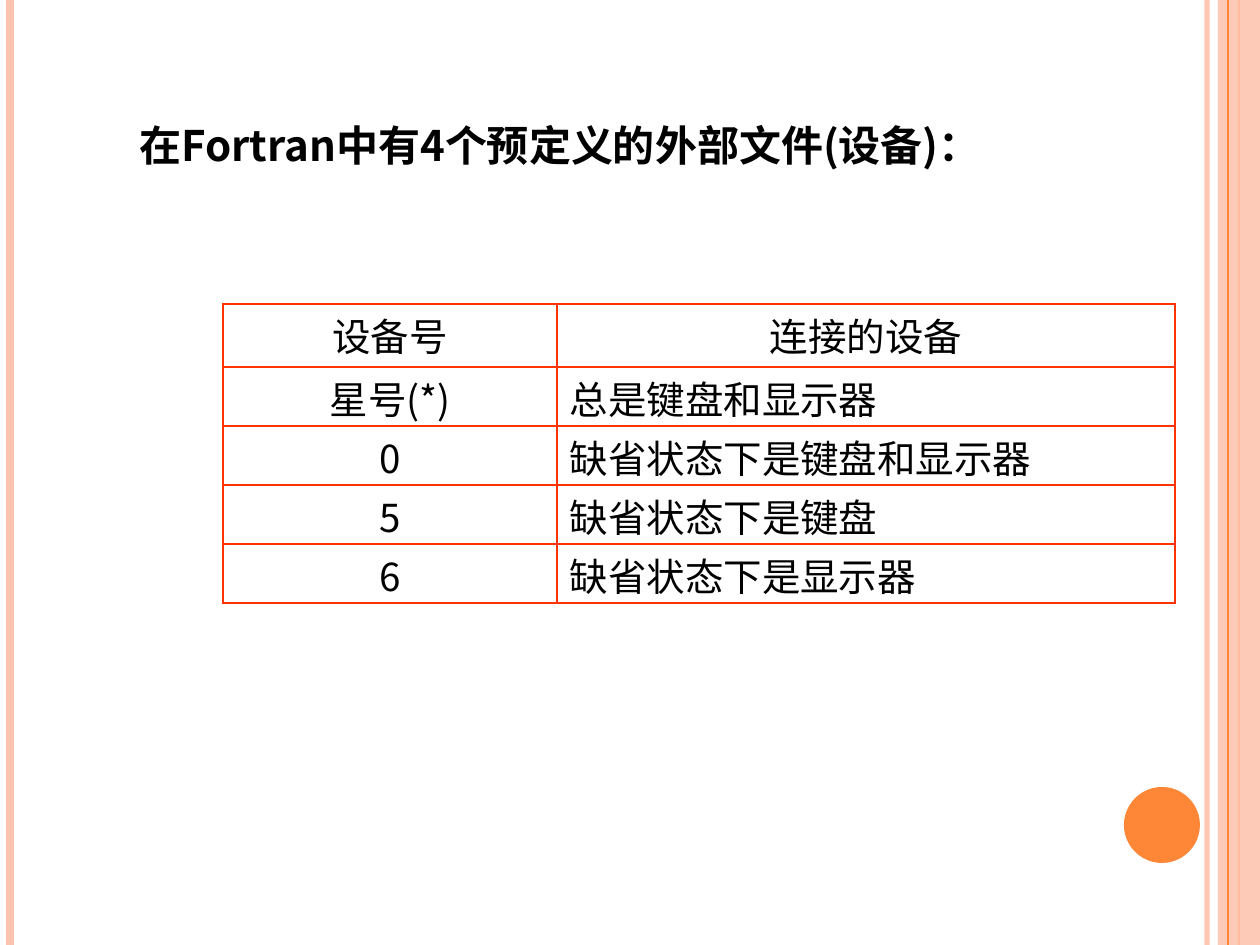
from lxml import etree
from pptx import Presentation
from pptx import util as u
from pptx.dml.color import RGBColor
from pptx.enum import shapes, text
from pptx.oxml.ns import qn

EMU_PER_PX = 914400 / 126
PEACH, ORANGE, RED, BLACK = "FEC3AE", "FE8637", "FF3300", "000000"
ROWS = [
    ("设备号", "连接的设备"),
    ("星号(*)", "总是键盘和显示器"),
    ("0", "缺省状态下是键盘和显示器"),
    ("5", "缺省状态下是键盘"),
    ("6", "缺省状态下是显示器"),
]


def px(length):
    return u.Emu(round(length * EMU_PER_PX))


def color(value):
    return RGBColor.from_string(value)


def set_alpha(element, percent):
    for item in element.iter(qn("a:srgbClr")):
        etree.SubElement(item, qn("a:alpha"), val=str(percent * 1000))


class Painter:
    font = "Noto Sans CJK SC"

    def __init__(self, page):
        self.page = page

    def vertical_line(self, x, points, line_color, alpha=100):
        line = self.page.shapes.add_connector(
            shapes.MSO_CONNECTOR.STRAIGHT, px(x), 0, px(x), px(945))
        line.line.color.rgb = color(line_color)
        line.line.width = u.Pt(points)
        properties = line._element.spPr
        if alpha < 100:
            set_alpha(properties, alpha)
        etree.SubElement(properties, qn("a:effectLst"))

    def shape(self, kind, left, top, width, height, fill, alpha=100):
        shape = self.page.shapes.add_shape(
            kind, px(left), px(top), px(width), px(height))
        shape.shadow.inherit = False
        shape.fill.solid()
        shape.fill.fore_color.rgb = color(fill)
        shape.line.fill.background()
        if alpha < 100:
            set_alpha(shape._element.spPr, alpha)

    def add_words(self, frame, words, size, bold=False,
                  align=text.PP_ALIGN.LEFT, spacing=1.0):
        para = frame.paragraphs[0]
        para.alignment = align
        para.line_spacing = spacing
        span = para.add_run()
        span.text = words
        span.font.size = u.Pt(size)
        span.font.bold = bold
        span.font.name = self.font
        span.font.color.rgb = color(BLACK)
        etree.SubElement(span._r.get_or_add_rPr(), qn("a:ea"), typeface=self.font)

    def title(self, words, left, top, width, height):
        box = self.page.shapes.add_textbox(
            px(left), px(top), px(width), px(height))
        frame = box.text_frame
        frame.word_wrap = True
        frame.vertical_anchor = text.MSO_ANCHOR.MIDDLE
        self.add_words(frame, words, 24, bold=True, spacing=0.82)

    def borders(self, cell):
        properties = cell._tc.get_or_add_tcPr()
        for side in ("lnL", "lnR", "lnT", "lnB"):
            line = etree.SubElement(properties, qn("a:" + side), w=str(int(u.Pt(1))))
            fill = etree.SubElement(line, qn("a:solidFill"))
            etree.SubElement(fill, qn("a:srgbClr"), val=RED)

    def table(self, rows, left, top, widths, heights):
        table = self.page.shapes.add_table(
            len(rows), len(widths), px(left), px(top),
            px(sum(widths)), px(sum(heights))).table
        table.first_row = table.horz_banding = False
        for column, width in zip(table.columns, widths):
            column.width = px(width)
        for row, height in zip(table.rows, heights):
            row.height = px(height)
        for r, row in enumerate(rows):
            for c, words in enumerate(row):
                cell = table.cell(r, c)
                self.borders(cell)
                cell.fill.background()
                cell.margin_left = cell.margin_right = px(13)
                cell.margin_top, cell.margin_bottom = px(6), 0
                centred = r == 0 or c == 0
                align = text.PP_ALIGN.CENTER if centred else text.PP_ALIGN.LEFT
                self.add_words(cell.text_frame, words, 22, align=align, spacing=0.94)


def main():
    deck = Presentation()
    deck.slide_width, deck.slide_height = px(1260), px(945)
    painter = Painter(deck.slides.add_slide(deck.slide_layouts[6]))
    painter.vertical_line(1207, 3, PEACH, alpha=93)
    painter.vertical_line(10, 4.5, PEACH)
    painter.vertical_line(1239, 1.5, ORANGE)
    painter.shape(shapes.MSO_SHAPE.RECTANGLE, 1218, 0, 42, 945, PEACH, alpha=87)
    painter.vertical_line(1228, 0.75, ORANGE)
    painter.shape(shapes.MSO_SHAPE.OVAL, 1124, 787, 76, 76, ORANGE)
    painter.title("在Fortran中有4个预定义的外部文件(设备)：", 127, 118, 912, 63)
    painter.table(ROWS, 223, 304, [334, 618], [63] + [59] * 4)
    deck.save("out.pptx")


if __name__ == "__main__":
    main()
